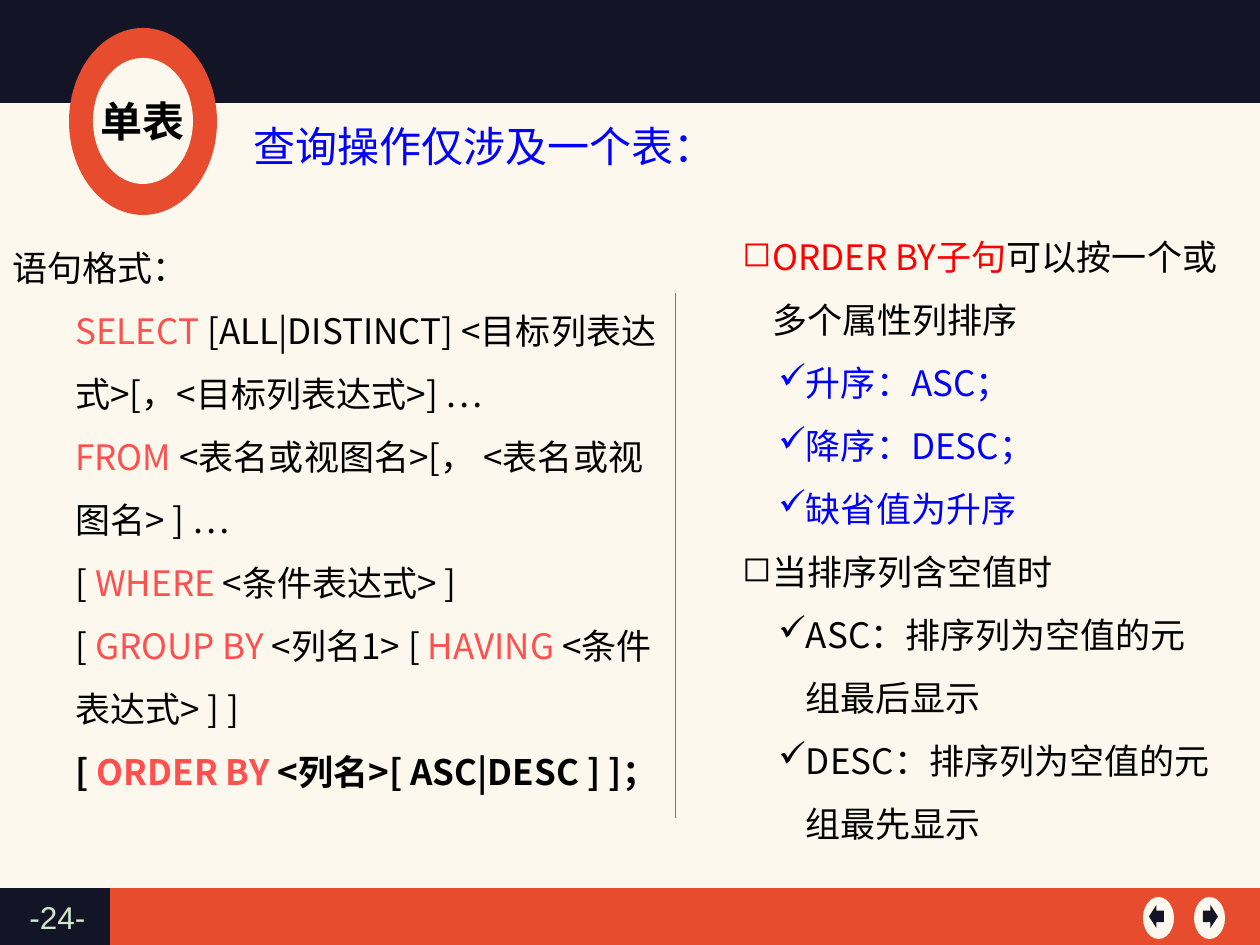
import lxml.etree
import pptx
import pptx.dml.color
import pptx.enum.shapes
import pptx.enum.text
import pptx.oxml.ns
import pptx.util

RGBColor = pptx.dml.color.RGBColor
Shapes = pptx.enum.shapes.MSO_SHAPE
Anchor = pptx.enum.text.MSO_ANCHOR
Align = pptx.enum.text.PP_ALIGN
qn = pptx.oxml.ns.qn

CREAM = RGBColor(0xFC, 0xF8, 0xED)
ORANGE = RGBColor(0xE7, 0x4C, 0x2E)
NAVY = RGBColor(0x13, 0x14, 0x26)
PALE_GREEN = RGBColor(0xCF, 0xE8, 0xCC)
KEYWORD = RGBColor(0xFF, 0x50, 0x50)
RED = RGBColor(0xFF, 0x00, 0x00)
BLUE = RGBColor(0x00, 0x00, 0xFF)
BLACK = RGBColor(0x00, 0x00, 0x00)

CJK_FONT = "Noto Sans CJK SC"
PX_PER_INCH = 126
BODY_SIZE = 20
BODY_PITCH = 36

# Each clause: bold flag, then its runs.
CLAUSES = [
    (False, [("SELECT", KEYWORD), (" [ALL|DISTINCT] <目标列表达式>[，<目标列表达式>] …", BLACK)]),
    (False, [("FROM", KEYWORD), (" <表名或视图名>[， <表名或视图名> ] …", BLACK)]),
    (False, [("[ ", BLACK), ("WHERE", KEYWORD), (" <条件表达式> ]", BLACK)]),
    (False, [("[ ", BLACK), ("GROUP BY", KEYWORD), (" <列名1> [", BLACK),
             (" HAVING", KEYWORD), (" <条件表达式> ] ]", BLACK)]),
    (True, [("[ ", BLACK), ("ORDER BY", KEYWORD), (" <列名>[ ASC|DESC ] ]；", BLACK)]),
]

# Each note: level, then its runs; the first run colours the bullet.
NOTES = [
    (0, [("ORDER BY子句", RED), ("可以按一个或多个属性列排序", BLACK)]),
    (1, [("升序：ASC；", BLUE)]),
    (1, [("降序：DESC；", BLUE)]),
    (1, [("缺省值为升序", BLUE)]),
    (0, [("当排序列含空值时", BLACK)]),
    (1, [("ASC：排序列为空值的元组最后显示", BLACK)]),
    (1, [("DESC：排序列为空值的元组最先显示", BLACK)]),
]
# Character, left margin and hanging indent for each level.
BULLETS = [("◻", 30, -30), ("✓", 63, -27)]


def px(length):
    return pptx.util.Emu(round(length * 914400 / PX_PER_INCH))


def add_filled(slide, kind, box, color):
    shape = slide.shapes.add_shape(kind, *map(px, box))
    shape.shadow.inherit = False
    shape.fill.solid()
    shape.fill.fore_color.rgb = color
    shape.line.fill.background()
    return shape


def add_text_frame(slide, box):
    frame = slide.shapes.add_textbox(*map(px, box)).text_frame
    frame.word_wrap = True
    return frame


def next_paragraph(frame):
    """Return the first paragraph while it is empty, else a new one."""
    first = frame.paragraphs[0]
    return frame.add_paragraph() if first.runs else first


def add_run(paragraph, text, size, color, bold=False, font=CJK_FONT):
    run = paragraph.add_run()
    run.text = text
    run.font.size = pptx.util.Pt(size)
    run.font.bold = bold
    run.font.color.rgb = color
    run.font.name = font
    latin = run.font._element.find(qn("a:latin"))
    east_asian = lxml.etree.Element(qn("a:ea"), typeface=font)
    latin.addnext(east_asian)


def set_indent(paragraph, margin, indent):
    properties = paragraph._p.get_or_add_pPr()
    properties.set("marL", str(px(margin)))
    properties.set("indent", str(px(indent)))
    return properties


def set_bullet(paragraph, level, color):
    character, margin, indent = BULLETS[level]
    properties = set_indent(paragraph, margin, indent)
    bullet_color = lxml.etree.SubElement(properties, qn("a:buClr"))
    lxml.etree.SubElement(bullet_color, qn("a:srgbClr"), val=str(color))
    lxml.etree.SubElement(properties, qn("a:buChar"), char=character)


def add_header(slide, left, top, width, height):
    add_filled(slide, Shapes.RECTANGLE, (left, top, width, height), NAVY)
    add_filled(slide, Shapes.OVAL, (left + 69, top + 28, 148, 187), ORANGE)
    badge = add_filled(slide, Shapes.OVAL, (left + 93, top + 58, 100, 126), CREAM)
    frame = badge.text_frame
    frame.word_wrap = False
    frame.vertical_anchor = Anchor.MIDDLE
    frame.margin_left = frame.margin_right = 0
    paragraph = frame.paragraphs[0]
    paragraph.alignment = Align.CENTER
    add_run(paragraph, "单表", 24, BLACK, bold=True)


def fill_title(slide, left, top, width, height):
    title = slide.shapes.title
    title.left, title.top, title.width, title.height = map(px, (left, top, width, height))
    frame = title.text_frame
    frame.word_wrap = True
    frame.auto_size = pptx.enum.text.MSO_AUTO_SIZE.NONE
    frame.vertical_anchor = Anchor.TOP
    paragraph = frame.paragraphs[0]
    paragraph.alignment = Align.LEFT
    paragraph.line_spacing = pptx.util.Pt(30)
    add_run(paragraph, "查询操作仅涉及一个表：", 24, BLUE)


def add_syntax(slide, left, top, width, height):
    frame = add_text_frame(slide, (left, top, width, height))
    heading = next_paragraph(frame)
    heading.line_spacing = pptx.util.Pt(BODY_PITCH)
    add_run(heading, "语句格式：", BODY_SIZE, BLACK)
    for bold, runs in CLAUSES:
        paragraph = next_paragraph(frame)
        paragraph.level = 1
        paragraph.line_spacing = pptx.util.Pt(BODY_PITCH)
        set_indent(paragraph, 63, 0)
        for text, color in runs:
            add_run(paragraph, text, BODY_SIZE, color, bold)


def add_notes_column(slide, left, top, width, height):
    frame = add_text_frame(slide, (left, top, width, height))
    for level, runs in NOTES:
        paragraph = next_paragraph(frame)
        paragraph.level = level
        paragraph.line_spacing = pptx.util.Pt(BODY_PITCH)
        set_bullet(paragraph, level, runs[0][1])
        for text, color in runs:
            add_run(paragraph, text, BODY_SIZE, color)


def add_divider(slide, x, top, bottom):
    divider = slide.shapes.add_connector(
        pptx.enum.shapes.MSO_CONNECTOR.STRAIGHT, px(x), px(top), px(x), px(bottom))
    divider.line.color.rgb = ORANGE
    divider.line.width = pptx.util.Pt(0.5)
    lxml.etree.SubElement(divider._element.spPr, qn("a:effectLst"))


def add_footer(slide, left, top, width, height):
    add_filled(slide, Shapes.RECTANGLE, (left, top, width, height), ORANGE)
    add_filled(slide, Shapes.RECTANGLE, (left, top, 110, height), NAVY)
    for kind, button_x, arrow_x in ((Shapes.LEFT_ARROW, 1143, 1149),
                                    (Shapes.RIGHT_ARROW, 1194, 1203)):
        add_filled(slide, Shapes.OVAL, (left + button_x, top + 9, 31, 42), CREAM)
        add_filled(slide, kind, (left + arrow_x, top + 17, 15, 23), NAVY)
    frame = add_text_frame(slide, (left + 17, top + 4, 96, 50))
    add_run(frame.paragraphs[0], "-24-", 18, PALE_GREEN, font="Arial")


def main():
    presentation = pptx.Presentation()
    presentation.slide_width, presentation.slide_height = px(1260), px(945)
    slide = presentation.slides.add_slide(presentation.slide_layouts[5])
    slide.background.fill.solid()
    slide.background.fill.fore_color.rgb = CREAM
    add_footer(slide, 0, 888, 1260, 57)
    add_divider(slide, 675, 293, 818)
    add_syntax(slide, 0, 219, 688, 643)
    add_header(slide, 0, 0, 1260, 103)
    add_notes_column(slide, 730, 208, 501, 653)
    fill_title(slide, 241, 112, 503, 63)
    presentation.save("out.pptx")


if __name__ == "__main__":
    main()
